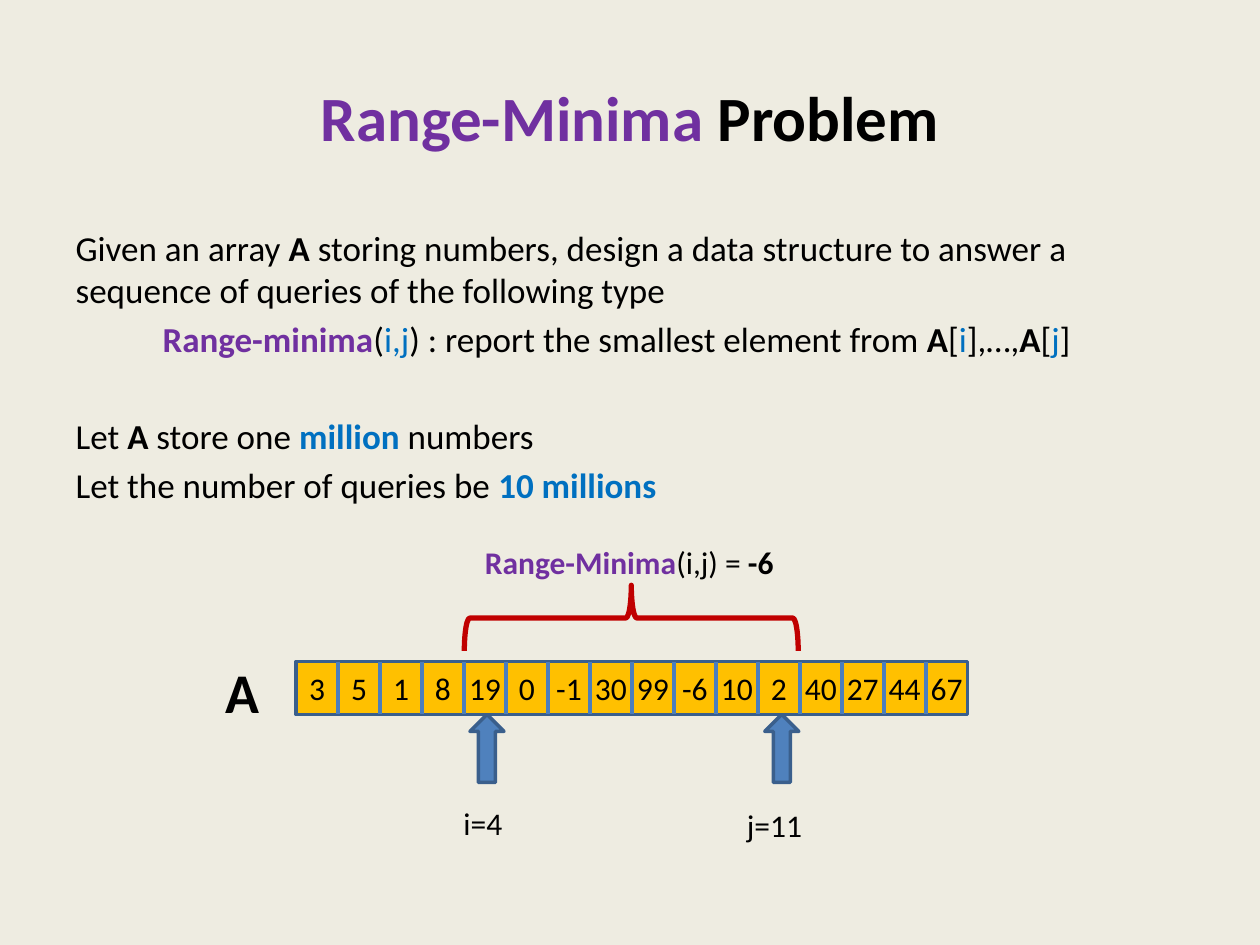
"""Build the Range-Minima Problem slide with its array diagram."""
from lxml.etree import SubElement
from pptx import Presentation
from pptx.dml.color import RGBColor as RGB
from pptx.enum.shapes import MSO_CONNECTOR as Connector, MSO_SHAPE as Shape
from pptx.enum.text import PP_ALIGN as Align
from pptx.oxml.ns import qn
from pptx.util import Inches, Pt

COLORS = {
    "paper": "EEECE1", "ink": "000000", "purple": "7030A0", "blue": "0070C0",
    "arrow": "4F81BD", "outline": "3A5F8C", "divider": "4B7EBC",
    "cell": "FFC000", "brace": "C00000",
}
STYLES = {
    "plain": ("ink", False), "bold": ("ink", True), "index": ("blue", False),
    "amount": ("blue", True), "name": ("purple", True),
}
NUMBERS = [3, 5, 1, 8, 19, 0, -1, 30, 99, -6, 10, 2, 40, 27, 44, 67]
ARRAY_LEFT, ARRAY_TOP, ARRAY_WIDTH, ARRAY_HEIGHT = 2.35, 5.25, 5.33, 0.42
CELL_WIDTH = ARRAY_WIDTH / len(NUMBERS)
QUERY_INDENT, SECTION_GAP = 0.69, 31


def color(name):
    """Return the named colour."""
    return RGB.from_string(COLORS[name])


def box(left, top, width, height):
    """Return a position and size given in inches."""
    return [Inches(length) for length in (left, top, width, height)]


class SlideBuilder:
    """Hold the text style, the slide and the group being filled."""

    font = "Calibri"

    def __init__(self, slide):
        """Start on a slide and paint its background."""
        self.slide = slide
        self.group = slide.shapes
        slide.background.fill.solid()
        slide.background.fill.fore_color.rgb = color("paper")

    def start_group(self):
        """Send the next elements to a new group."""
        self.group = self.slide.shapes.add_group_shape().shapes

    def add_runs(self, paragraph, parts, size):
        """Add styled runs to a paragraph."""
        for text, style in parts:
            tint, bold = STYLES[style]
            run = paragraph.add_run()
            run.text = text
            values = {"name": self.font, "size": Pt(size), "bold": bold}
            for key, value in values.items():
                setattr(run.font, key, value)
            run.font.color.rgb = color(tint)

    def title(self, parts):
        """Fill the title placeholder."""
        heading = self.slide.shapes.title
        heading.left, heading.top, heading.width, heading.height = box(0.5, 0.3, 9, 1.25)
        paragraph = heading.text_frame.paragraphs[0]
        paragraph.alignment = Align.CENTER
        self.add_runs(paragraph, parts, 36)

    def body(self, paragraphs):
        """Fill the body placeholder with unbulleted paragraphs."""
        content = self.slide.placeholders[1]
        content.left, content.top, content.width, content.height = box(0.5, 1.75, 9, 4.95)
        frame = content.text_frame
        for number, (indent, space, parts) in enumerate(paragraphs):
            paragraph = frame.add_paragraph() if number else frame.paragraphs[0]
            paragraph.space_before = Pt(space)
            properties = paragraph._p.get_or_add_pPr()
            properties.set("marL", str(Inches(indent)))
            properties.set("indent", "0")
            SubElement(properties, qn("a:buNone"))
            self.add_runs(paragraph, parts, 20)

    def label(self, place, parts, size=18):
        """Add a one-line text box."""
        textbox = self.group.add_textbox(*box(*place))
        textbox.text_frame.word_wrap = False
        self.add_runs(textbox.text_frame.paragraphs[0], parts, size)
        return textbox

    def cell_values(self, place, values):
        """Put values on one line, each centred in its cell by a tab stop."""
        text = "".join(f"\t{value}" for value in values)
        row = self.label(place, [(text, "plain")])
        frame = row.text_frame
        for key, value in {"word_wrap": True, "margin_left": 0, "margin_right": 0}.items():
            setattr(frame, key, value)
        stops = SubElement(frame.paragraphs[0]._p.get_or_add_pPr(), qn("a:tabLst"))
        for index in range(len(values)):
            center = Inches((index + 0.5) * CELL_WIDTH)
            SubElement(stops, qn("a:tab"), pos=str(center), algn="ctr")

    def shape(self, kind, place, fill, line, weight, rotation=0):
        """Add a preset shape, unfilled when fill is None."""
        element = self.group.add_shape(kind, *box(*place))
        element.shadow.inherit = False
        element.rotation = rotation
        if fill:
            element.fill.solid()
            element.fill.fore_color.rgb = color(fill)
        else:
            element.fill.background()
        element.line.color.rgb = color(line)
        element.line.width = Pt(weight)
        return element

    def divider(self, x, top, bottom):
        """Add a vertical line between two cells."""
        line = self.group.add_connector(
            Connector.STRAIGHT, Inches(x), Inches(top), Inches(x), Inches(bottom))
        line.line.color.rgb = color("divider")
        line.line.width = Pt(2.25)
        SubElement(line._element.spPr, qn("a:effectLst"))
        return line


def main():
    """Build and save the slide."""
    deck = Presentation()
    deck.slide_width, deck.slide_height = Inches(10), Inches(7.5)
    builder = SlideBuilder(deck.slides.add_slide(deck.slide_layouts[1]))

    builder.title([("Range-Minima", "name"), (" Problem", "bold")])
    builder.body([
        (0, 4, [("Given an array ", "plain"), ("A", "bold"),
                (" storing numbers, design a data structure to answer a "
                 "sequence of queries of the following type", "plain")]),
        (QUERY_INDENT, 4, [
            ("Range-minima", "name"), ("(", "plain"), ("i,j", "index"),
            (") : report the smallest element from ", "plain"),
            ("A", "bold"), ("[", "plain"), ("i", "index"), ("],…,", "plain"),
            ("A", "bold"), ("[", "plain"), ("j", "index"), ("]", "plain")]),
        (0, SECTION_GAP, [("Let ", "plain"), ("A", "bold"), (" store one ", "plain"),
                          ("million", "amount"), (" numbers", "plain")]),
        (0, 4, [("Let the number of queries be ", "plain"), ("10 millions", "amount")]),
    ])

    array_bottom = ARRAY_TOP + ARRAY_HEIGHT
    for arrow_left, caption, place in (
            (3.73, "i=4", (3.58, 6.33, 0.51, 0.4)),
            (6.07, "j=11", (5.83, 6.35, 0.64, 0.4))):
        builder.start_group()
        builder.shape(Shape.UP_ARROW, (arrow_left, array_bottom, 0.27, 0.54),
                      "arrow", "outline", 2)
        builder.label(place, [(caption, "plain")])

    builder.start_group()
    builder.shape(Shape.LEFT_BRACE, (4.75, 3.58, 0.52, 2.65), None, "brace", 3, 90)
    builder.label((3.75, 4.26, 2.51, 0.4),
                  [("Range-Minima", "name"), ("(i,j) = ", "plain"), ("-6", "bold")])

    builder.start_group()
    array = builder.shape(
        Shape.RECTANGLE, (ARRAY_LEFT, ARRAY_TOP, ARRAY_WIDTH, ARRAY_HEIGHT),
        "cell", "outline", 2)
    for index in range(1, len(NUMBERS)):
        divider = builder.divider(ARRAY_LEFT + index * CELL_WIDTH, ARRAY_TOP, array_bottom)
        if index == len(NUMBERS) // 2:
            divider.begin_connect(array, 0)
            divider.end_connect(array, 2)
    builder.cell_values((ARRAY_LEFT, 5.26, 5.55, 0.4), NUMBERS)
    builder.label((1.69, 5.17, 0.47, 0.64), [("A", "bold")], 32)

    deck.save("out.pptx")


if __name__ == "__main__":
    main()
